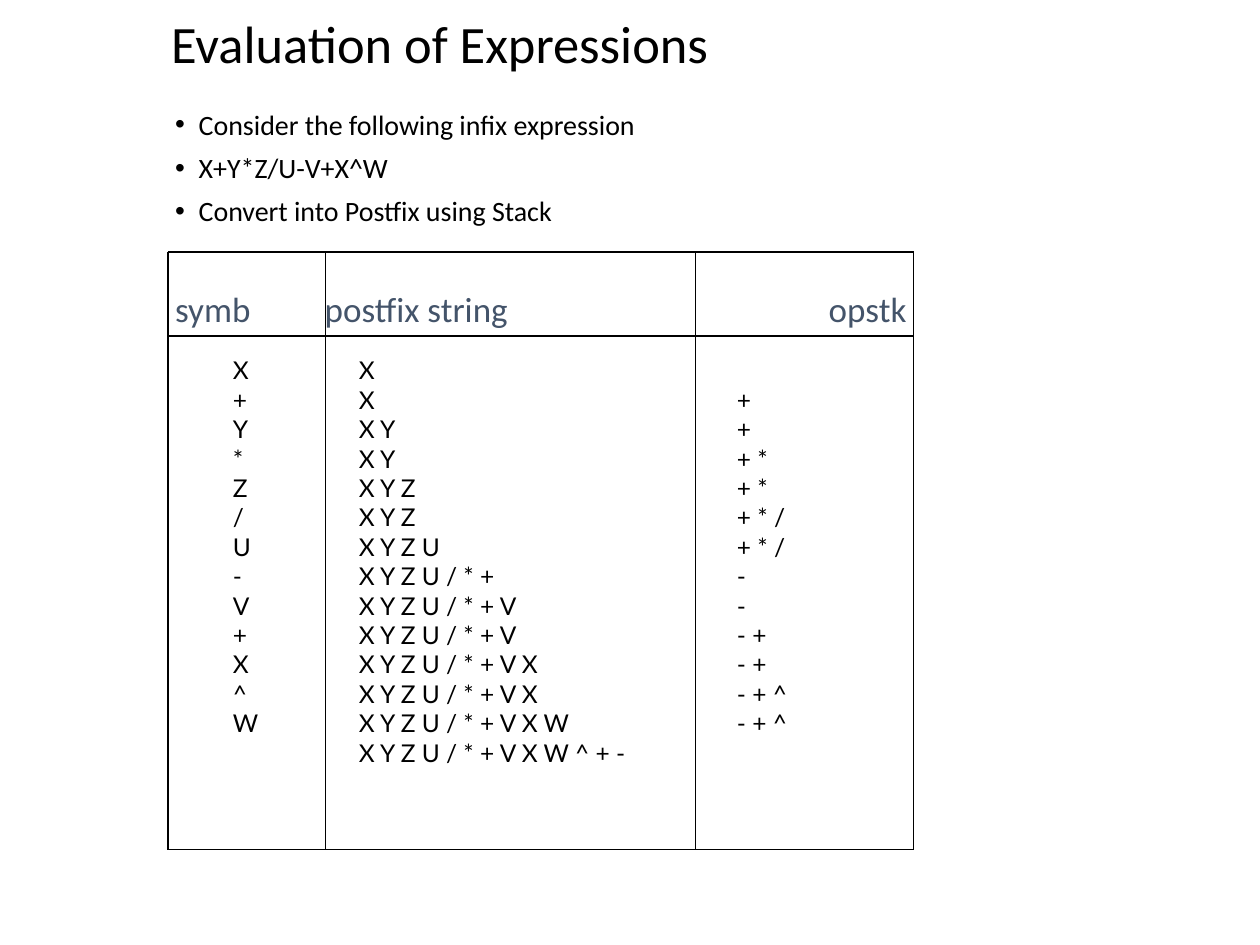
from dataclasses import dataclass

import lxml.etree
import pptx
import pptx.dml.color
import pptx.enum.shapes
import pptx.enum.text
import pptx.oxml.ns
import pptx.slide
import pptx.text.text
import pptx.util

Pt = pptx.util.Pt
BLACK = pptx.dml.color.RGBColor(0x00, 0x00, 0x00)
SLATE = pptx.dml.color.RGBColor(0x44, 0x54, 0x6A)
qn = pptx.oxml.ns.qn


@dataclass(frozen=True)
class Box:
    left: float
    top: float
    width: float
    height: float


@dataclass(frozen=True)
class Style:
    size: float
    font: str = "Calibri"
    color: pptx.dml.color.RGBColor = BLACK
    line_spacing: float = 0.9
    space_before: float = 0
    bulleted: bool = False
    tabs: tuple[float, ...] = ()


@dataclass(frozen=True)
class Rule:
    x1: float
    y1: float
    x2: float
    y2: float


@dataclass(frozen=True)
class Step:
    symbol: str
    postfix: str
    stack: str = ""

    def line(self) -> str:
        return f"{self.symbol}\t{self.postfix}\t{self.stack}".rstrip()


TITLE = Style(30)
BULLET = Style(16, space_before=7.5, bulleted=True)
HEADER = Style(20, color=SLATE, space_before=37, tabs=(85.5, 373.5))
TRACE = Style(14, font="Lato", line_spacing=1, tabs=(72, 288))

BULLETS = [
    "Consider the following infix expression",
    "X+Y*Z/U-V+X^W",
    "Convert into Postfix using Stack",
]
COLUMN_NAMES = "symb\tpostfix string\topstk"
STEPS = [
    Step("X", "X"),
    Step("+", "X", "+"),
    Step("Y", "X Y", "+"),
    Step("*", "X Y", "+ *"),
    Step("Z", "X Y Z", "+ *"),
    Step("/", "X Y Z", "+ * /"),
    Step("U", "X Y Z U", "+ * /"),
    Step("-", "X Y Z U / * +", "-"),
    Step("V", "X Y Z U / * + V", "-"),
    Step("+", "X Y Z U / * + V", "- +"),
    Step("X", "X Y Z U / * + V X", "- +"),
    Step("^", "X Y Z U / * + V X", "- + ^"),
    Step("W", "X Y Z U / * + V X W", "- + ^"),
    Step("", "X Y Z U / * + V X W ^ + -"),
]
COLUMN_EDGES = [96, 186, 397.5, 522]
ROW_EDGES = [144, 192, 485.5]


def format_paragraph(paragraph: pptx.text.text._Paragraph, style: Style, first: bool) -> None:
    properties = paragraph._p.get_or_add_pPr()
    if style.bulleted:
        properties.set("marL", str(Pt(13.5)))
        properties.set("indent", str(Pt(-13.5)))
        bullet_color = lxml.etree.SubElement(properties, qn("a:buClr"))
        lxml.etree.SubElement(bullet_color, qn("a:srgbClr"), val=str(style.color))
        lxml.etree.SubElement(properties, qn("a:buFont"), typeface="Arial")
        lxml.etree.SubElement(properties, qn("a:buChar"), char="•")
    if style.tabs:
        stops = lxml.etree.SubElement(properties, qn("a:tabLst"))
        for position in style.tabs:
            lxml.etree.SubElement(stops, qn("a:tab"), pos=str(Pt(position)), algn="l")
    paragraph.line_spacing = style.line_spacing
    paragraph.space_before = Pt(0 if first else style.space_before)
    for run in paragraph.runs:
        run.font.size = Pt(style.size)
        run.font.name = style.font
        run.font.color.rgb = style.color


def add_text(
    slide: pptx.slide.Slide,
    box: Box,
    lines: list[str],
    styles: list[Style],
    anchor: pptx.enum.text.MSO_ANCHOR = pptx.enum.text.MSO_ANCHOR.TOP,
) -> None:
    frame = slide.shapes.add_textbox(
        Pt(box.left), Pt(box.top), Pt(box.width), Pt(box.height)
    ).text_frame
    frame.word_wrap = True
    frame.vertical_anchor = anchor
    frame.text = "\n".join(lines)
    for index, (paragraph, style) in enumerate(zip(frame.paragraphs, styles)):
        format_paragraph(paragraph, style, index == 0)


def add_rule(slide: pptx.slide.Slide, rule: Rule) -> None:
    connector = slide.shapes.add_connector(
        pptx.enum.shapes.MSO_CONNECTOR.STRAIGHT,
        Pt(rule.x1), Pt(rule.y1), Pt(rule.x2), Pt(rule.y2),
    )
    connector.line.color.rgb = BLACK
    connector.line.width = Pt(0.75)
    lxml.etree.SubElement(connector._element.spPr, qn("a:effectLst"))


def main() -> None:
    presentation = pptx.Presentation()
    presentation.slide_width = Pt(720)
    presentation.slide_height = Pt(540)
    slide = presentation.slides.add_slide(presentation.slide_layouts[6])

    add_text(
        slide, Box(90.7, 5.8, 613.4, 41.8), ["Evaluation of Expressions"], [TITLE],
        pptx.enum.text.MSO_ANCHOR.MIDDLE,
    )
    add_text(
        slide, Box(93, 59.8, 612, 480), BULLETS + [COLUMN_NAMES],
        [BULLET] * len(BULLETS) + [HEADER],
    )
    add_text(
        slide, Box(126, 199.5, 378, 276.5), [step.line() for step in STEPS],
        [TRACE] * len(STEPS),
    )

    left, right = COLUMN_EDGES[0], COLUMN_EDGES[-1]
    top, bottom = ROW_EDGES[0], ROW_EDGES[-1]
    rules = [Rule(left, y, right, y) for y in ROW_EDGES]
    rules += [Rule(x, top, x, bottom) for x in COLUMN_EDGES]
    for rule in rules:
        add_rule(slide, rule)

    presentation.save("out.pptx")


if __name__ == "__main__":
    main()
